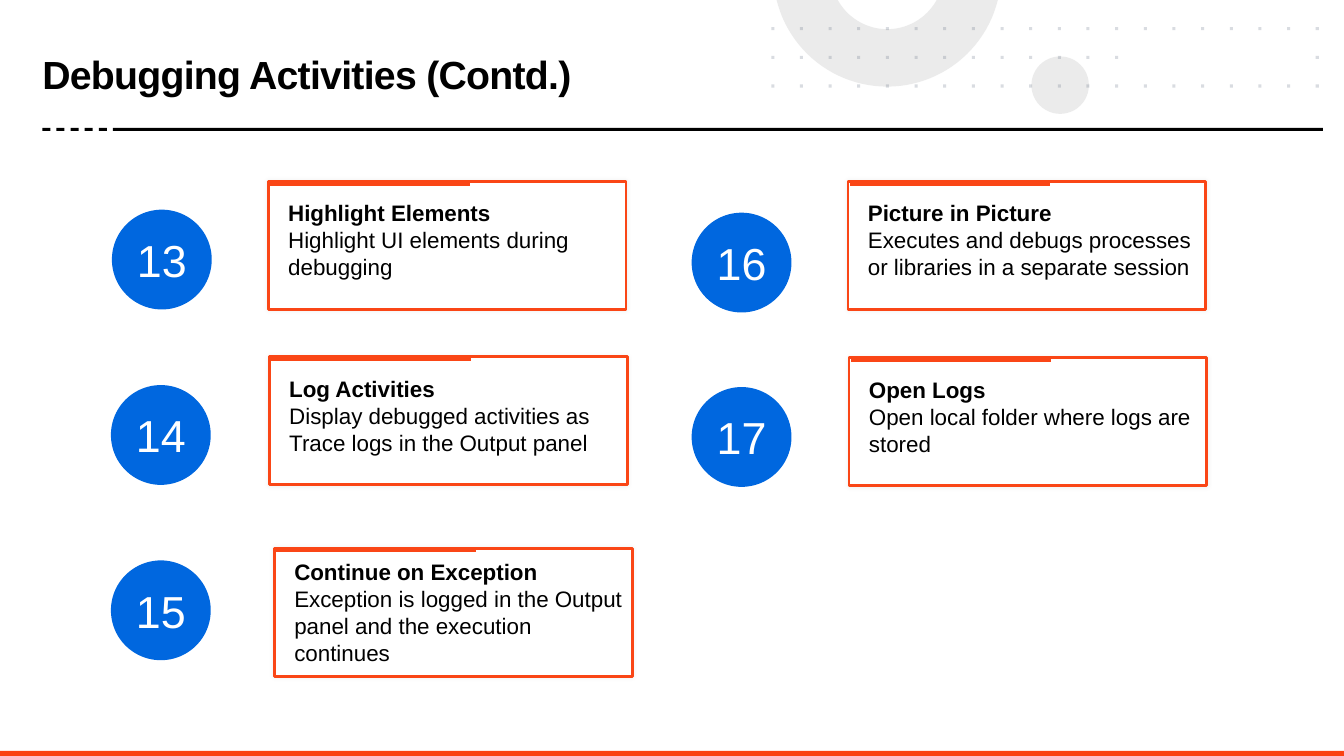
from dataclasses import dataclass
from math import acos, cos, sin

from lxml import etree
from pptx import Presentation
from pptx.dml.color import RGBColor
from pptx.enum.shapes import MSO_CONNECTOR, MSO_SHAPE
from pptx.enum.text import MSO_ANCHOR, MSO_AUTO_SIZE, PP_ALIGN
from pptx.oxml.ns import qn
from pptx.util import Inches, Pt

RECT, OVAL = MSO_SHAPE.RECTANGLE, MSO_SHAPE.OVAL
STRAIGHT = MSO_CONNECTOR.STRAIGHT
MIDDLE, TOP = MSO_ANCHOR.MIDDLE, MSO_ANCHOR.TOP
LEFT, CENTER = PP_ALIGN.LEFT, PP_ALIGN.CENTER
NO_FIT = MSO_AUTO_SIZE.NONE


@dataclass(frozen=True)
class Theme:
    """Colours, font and type sizes of the slide."""
    font: str = "Arial"
    title: int = 28
    number: int = 32
    body: int = 16
    black: str = "000000"
    white: str = "FFFFFF"
    blue: str = "0067DF"
    orange: str = "FA4616"
    footer: str = "FA4211"
    grey: str = "D9D9D9"
    dots: str = "44546A"


T = Theme()

ACTIVITIES = [
    ("13", "Highlight Elements", "Highlight UI elements during debugging",
     (1.11, 2.08), (2.66, 1.8), 0.13),
    ("14", "Log Activities",
     "Display debugged activities as Trace logs in the Output panel",
     (1.1, 3.82), (2.67, 3.54), 0.13),
    ("15", "Continue on Exception",
     "Exception is logged in the Output panel and the execution continues",
     (1.1, 5.56), (2.72, 5.44), 0.05),
    ("16", "Picture in Picture",
     "Executes and debugs processes or libraries in a separate session",
     (6.86, 2.11), (8.41, 1.8), 0.13),
    ("17", "Open Logs", "Open local folder where logs are stored",
     (6.86, 3.84), (8.42, 3.55), 0.13),
]


def paint(sp, color, alpha=None):
    """Fill a shape without outline or shadow, optionally see-through."""
    sp.shadow.inherit = False
    sp.fill.solid()
    sp.fill.fore_color.rgb = RGBColor.from_string(color)
    sp.line.fill.background()
    if alpha:
        clr = sp._element.spPr.find(f"{qn('a:solidFill')}/{qn('a:srgbClr')}")
        etree.SubElement(clr, qn("a:alpha"), val=str(alpha * 1000))
    return sp


def add_filled(s, kind, x, y, w, h, color, alpha=None):
    """Add a plain preset shape."""
    sp = s.shapes.add_shape(kind, Inches(x), Inches(y), Inches(w), Inches(h))
    return paint(sp, color, alpha)


def add_outline(s, contours, color, alpha):
    """Add one filled freeform made of closed contours."""
    fb = None
    for contour in contours:
        pts = [(Inches(x), Inches(y)) for x, y in contour]
        if fb is None:
            fb = s.shapes.build_freeform(*pts[0])
        else:
            fb.move_to(*pts[0])
        fb.add_line_segments(pts[1:], close=True)
    return paint(fb.convert_to_shape(), color, alpha)


def style(p, size, color, bold=False):
    """Format every run of a paragraph."""
    for r in p.runs:
        r.font.name = T.font
        r.font.size = Pt(size)
        r.font.bold = bold
        r.font.color.rgb = RGBColor.from_string(color)


def arc(cx, cy, radius, steps=48):
    """Return the part of a circle that lies below the slide's top edge."""
    half = acos(-cy / radius)
    angles = [half * (2 * i / steps - 1) for i in range(steps + 1)]
    return [(cx + radius * sin(a), cy + radius * cos(a)) for a in angles]


def add_decoration(s, x, y):
    """Draw the circle, the cut ring and the dot grid from its top left."""
    add_filled(s, OVAL, x + 2.58, y + 0.29, 0.57, 0.57, T.grey, 50)
    cx, cy = x + 1.15, -0.27
    ring = arc(cx, cy, 1.13) + arc(cx, cy, 0.56)[::-1]
    add_outline(s, [ring], T.grey, 50)
    pitch, d = 5.4 / 19, 0.03
    dots = []
    for row in range(3):
        for col in range(20):
            if row == 1 and 13 <= col <= 18:
                continue
            l, t = x + col * pitch, y + row * pitch
            dots.append([(l, t), (l + d, t), (l + d, t + d), (l, t + d)])
    add_outline(s, dots, T.dots, 20)


def add_header(s, x, y, w):
    """Place the title and the rule with its dashed start."""
    sp = s.shapes.title
    sp.left, sp.top = Inches(x), Inches(y)
    sp.width, sp.height = Inches(7.23), Inches(0.75)
    tf = sp.text_frame
    tf.text = "Debugging Activities (Contd.)"
    tf.auto_size = NO_FIT
    tf.word_wrap = True
    tf.vertical_anchor = MIDDLE
    tf.margin_left = tf.margin_right = tf.margin_top = tf.margin_bottom = 0
    p = tf.paragraphs[0]
    p.alignment = LEFT
    p.line_spacing = 0.85
    style(p, T.title, T.black, True)
    p.runs[0].font._element.set("spc", "-50")
    for i in range(5):
        add_filled(s, RECT, x + i * 0.14, y + 0.88, 0.08, 0.03, T.black)
    add_filled(s, RECT, x + 0.7, y + 0.88, w - 0.7, 0.03, T.black)


def add_badge(s, x, y, number):
    """Draw a numbered circle."""
    sp = add_filled(s, OVAL, x, y, 0.99, 0.99, T.blue)
    tf = sp.text_frame
    tf.text = number
    tf.vertical_anchor = MIDDLE
    p = tf.paragraphs[0]
    p.alignment = CENTER
    style(p, T.number, T.white)


def add_card(s, x, y, heading, body, pad):
    """Draw an outlined card with a thicker accent and two text levels."""
    orange = RGBColor.from_string(T.orange)
    sp = add_filled(s, RECT, x, y, 3.55, 1.27, T.white)
    sp.line.color.rgb = orange
    sp.line.width = Pt(2)
    spPr = sp._element.spPr
    etree.SubElement(spPr.find(qn("a:ln")), qn("a:round"))
    shadow = etree.SubElement(spPr.find(qn("a:effectLst")), qn("a:outerShdw"),
                              blurRad=str(Pt(3)), dist="0", dir="0")
    clr = etree.SubElement(shadow, qn("a:srgbClr"), val=T.black)
    etree.SubElement(clr, qn("a:alpha"), val="5000")

    accent = s.shapes.add_connector(STRAIGHT, Inches(x + 0.02), Inches(y + 0.02),
                                    Inches(x + 2), Inches(y + 0.02))
    accent.line.color.rgb = orange
    accent.line.width = Pt(3)
    etree.SubElement(accent._element.spPr, qn("a:effectLst"))

    tb = s.shapes.add_textbox(Inches(x + 0.1), Inches(y + pad),
                              Inches(3.55), Inches(0.99))
    tf = tb.text_frame
    tf.word_wrap = True
    tf.vertical_anchor = TOP
    tf.text = heading
    style(tf.paragraphs[0], T.body, T.black, True)
    p = tf.add_paragraph()
    p.text = body
    style(p, T.body, T.black)


def main():
    """Build the slide and save it."""
    prs = Presentation()
    prs.slide_width, prs.slide_height = Inches(13.33), Inches(7.5)
    s = prs.slides.add_slide(prs.slide_layouts[5])
    add_decoration(s, 7.65, 0.27)
    add_header(s, 0.42, 0.39, 12.7)
    add_filled(s, RECT, 0, 7.45, 13.33, 0.05, T.footer)
    for number, heading, body, badge, card, pad in ACTIVITIES:
        add_badge(s, *badge, number)
        add_card(s, *card, heading, body, pad)
    prs.save("out.pptx")


if __name__ == "__main__":
    main()
